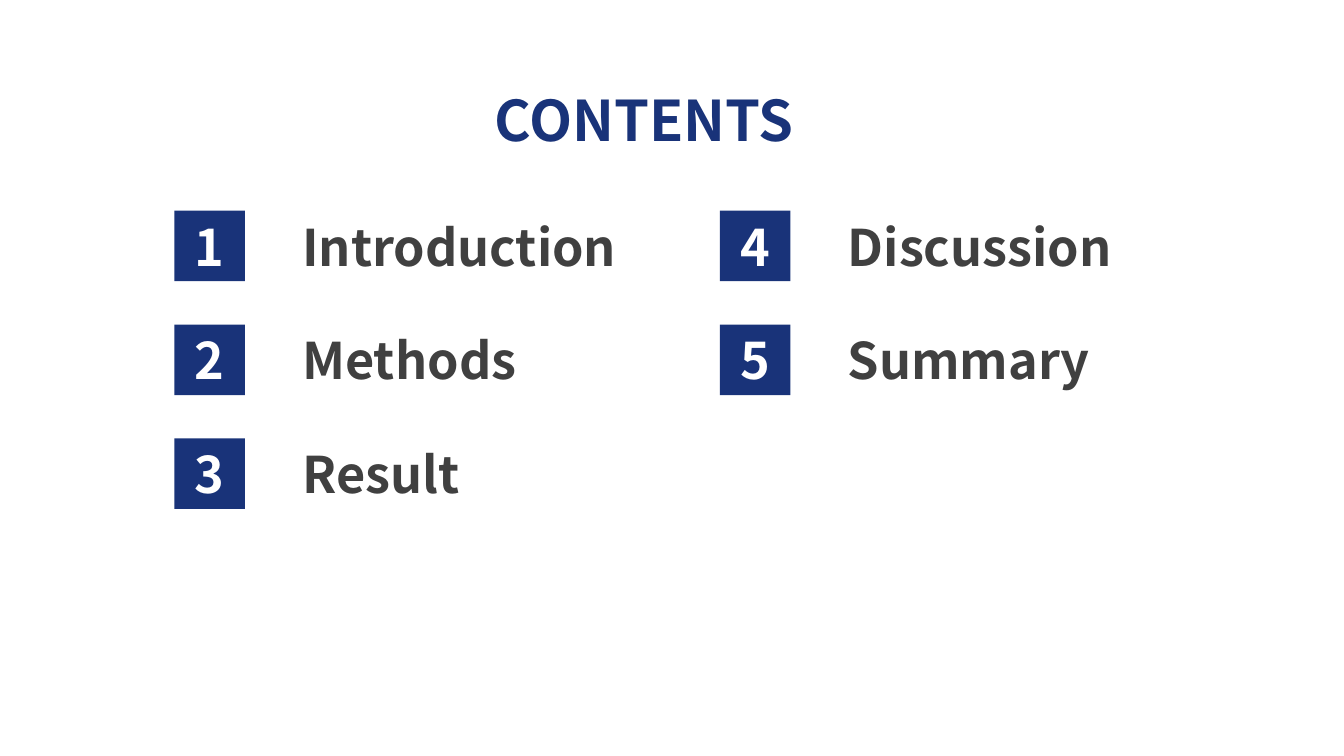
import dataclasses

import pptx
import pptx.dml.color
import pptx.enum.shapes
import pptx.enum.text
import pptx.util
from pptx.util import Inches


@dataclasses.dataclass(frozen=True)
class Theme:
    """Hold the colours, font and type sizes of the deck."""

    navy: str = "193379"
    grey: str = "404040"
    white: str = "FFFFFF"
    font: str = "Noto Sans CJK SC"
    title_size: int = 40
    entry_size: int = 36


THEME = Theme()
COLUMNS = [
    [("Introduction", 3.39), ("Methods", 2.47), ("Result", 1.77)],
    [("Discussion", 2.89), ("Summary", 2.64)],
]


def add_run(paragraph, text, size, color):
    """Add one bold run in the theme font."""
    run = paragraph.add_run()
    run.text = text
    run.font.name = THEME.font
    run.font.size = pptx.util.Pt(size)
    run.font.bold = True
    run.font.color.rgb = pptx.dml.color.RGBColor.from_string(color)


def add_label(slide, text, left, top, width, height, size, color, wrap):
    """Add a text box that grows with its text and return its paragraph."""
    box = slide.shapes.add_textbox(Inches(left), Inches(top), Inches(width), Inches(height))
    box.text_frame.word_wrap = wrap
    box.text_frame.auto_size = pptx.enum.text.MSO_AUTO_SIZE.SHAPE_TO_FIT_TEXT
    paragraph = box.text_frame.paragraphs[0]
    add_run(paragraph, text, size, color)
    return paragraph


def add_title(slide, left, top, width, height):
    """Place the slide heading in its box."""
    paragraph = add_label(slide, "CONTENTS", left, top, width, height,
                          THEME.title_size, THEME.navy, True)
    paragraph.alignment = pptx.enum.text.PP_ALIGN.JUSTIFY


def add_entry(slide, number, text, left, top, width, side=0.7, label_offset=1.17):
    """Place a numbered square and the section name to its right."""
    square = slide.shapes.add_shape(
        pptx.enum.shapes.MSO_SHAPE.RECTANGLE,
        Inches(left), Inches(top), Inches(side), Inches(side))
    square.shadow.inherit = False
    square.fill.solid()
    square.fill.fore_color.rgb = pptx.dml.color.RGBColor.from_string(THEME.navy)
    square.line.fill.background()
    square.text_frame.vertical_anchor = pptx.enum.text.MSO_ANCHOR.MIDDLE
    paragraph = square.text_frame.paragraphs[0]
    paragraph.alignment = pptx.enum.text.PP_ALIGN.CENTER
    add_run(paragraph, str(number), THEME.entry_size, THEME.white)
    add_label(slide, text, left + label_offset, top, width, 0.71,
              THEME.entry_size, THEME.grey, False)


def add_contents(slide, left, top, column_step, row_step):
    """Number the entries down each column in turn."""
    number = 1
    for column, entries in enumerate(COLUMNS):
        for row, (text, width) in enumerate(entries):
            add_entry(slide, number, text,
                      left + column * column_step, top + row * row_step, width)
            number += 1


def main():
    """Build and save the contents slide."""
    presentation = pptx.Presentation()
    presentation.slide_width = Inches(13.33)
    presentation.slide_height = Inches(7.5)
    slide = presentation.slides.add_slide(presentation.slide_layouts[6])
    add_title(slide, 4.81, 0.8, 3.93, 0.77)
    add_contents(slide, 1.73, 2.09, 5.41, 1.13)
    presentation.save("out.pptx")


if __name__ == "__main__":
    main()
